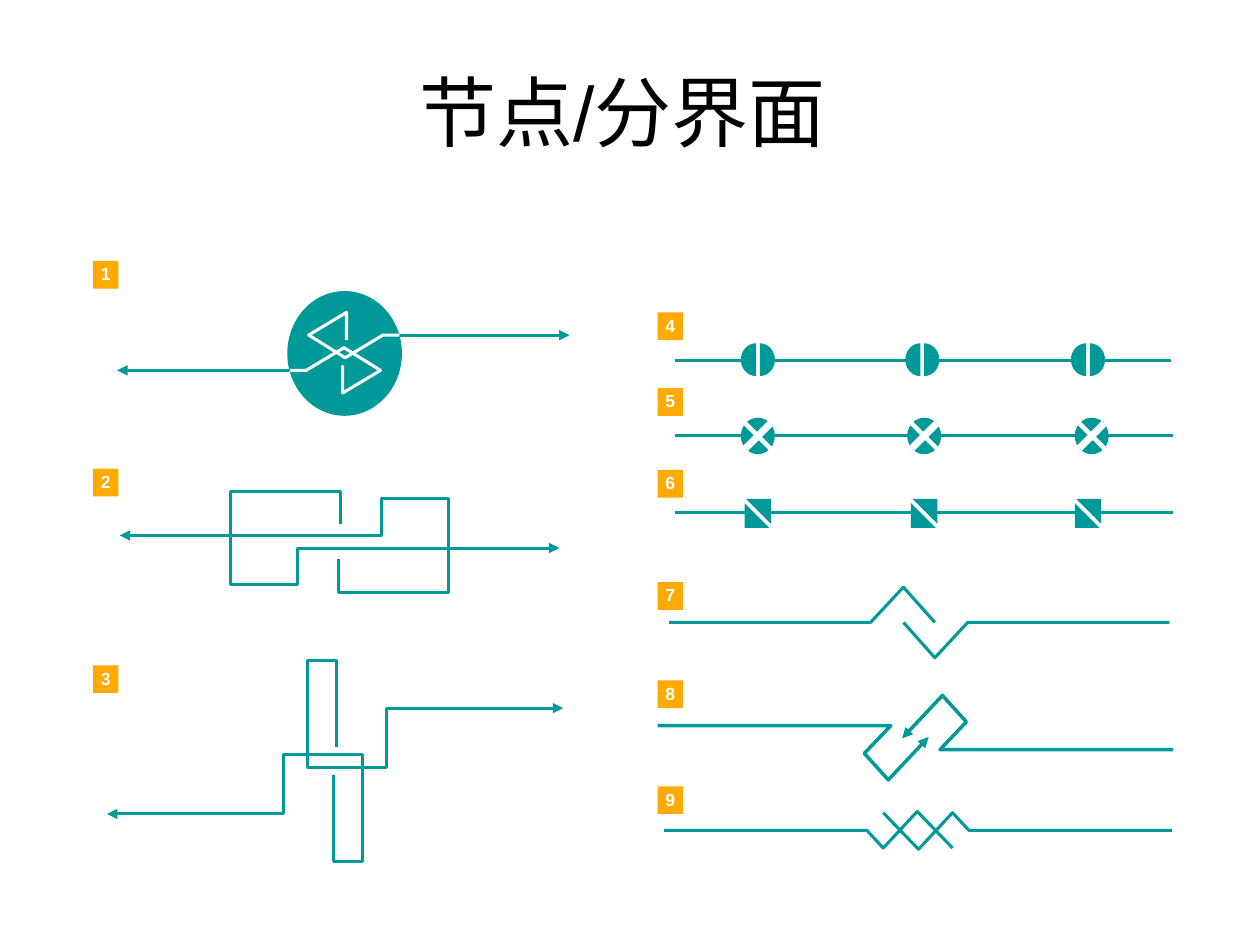
import math

from lxml import etree
from pptx import Presentation
from pptx.dml.color import RGBColor
from pptx.enum import shapes, text
from pptx.oxml.ns import qn
from pptx.util import Inches, Pt

TEAL = RGBColor(0x00, 0x99, 0x99)
ORANGE = RGBColor(0xFF, 0xAA, 0x00)
WHITE = RGBColor(0xFF, 0xFF, 0xFF)
BLACK = RGBColor(0x00, 0x00, 0x00)
FONT = "Arial"

# Number: left and top of its badge
BADGES = {
    1: (0.74, 2.07), 2: (0.74, 3.72), 3: (0.74, 5.28),
    4: (5.22, 2.48), 5: (5.22, 3.08), 6: (5.22, 3.73),
    7: (5.22, 4.62), 8: (5.22, 5.4), 9: (5.22, 6.24),
}

# One strand of each knot; its mate is the same strand turned by half a circle
LOOP = [(2.3, 2.94), (2.43, 2.94), (2.73, 2.76), (3.02, 2.94), (2.72, 3.12), (2.72, 2.9)]
WIDE_HOOK = [(0.95, 4.25), (3.03, 4.25), (3.03, 3.96), (3.56, 3.96),
             (3.56, 4.7), (2.69, 4.7), (2.69, 4.44)]
TALL_HOOK = [(0.85, 6.46), (2.25, 6.46), (2.25, 5.99), (2.88, 5.99),
             (2.88, 6.84), (2.65, 6.84), (2.65, 6.15)]
PEAK = [(5.31, 4.94), (6.91, 4.94), (7.17, 4.66), (7.42, 4.94)]
TURNBACK = [(5.22, 5.76), (7.07, 5.76), (6.86, 5.98), (7.05, 6.19), (7.37, 5.85)]
ZIGZAG = [(5.27, 6.59), (6.88, 6.59), (7.01, 6.73), (7.28, 6.44), (7.56, 6.73)]


def style_line(item, color, width, arrow_end=None):
    item.line.color.rgb = color
    item.line.width = Pt(width)
    outline = item.line._get_or_add_ln()
    etree.SubElement(outline, qn("a:round"))
    if arrow_end:
        etree.SubElement(outline, qn("a:" + arrow_end)).set("type", "triangle")


def add_line(slide, start, end, arrow_end=None):
    ends = [Inches(value) for value in (*start, *end)]
    line = slide.shapes.add_connector(shapes.MSO_CONNECTOR.STRAIGHT, *ends)
    style_line(line, TEAL, 1.75, arrow_end)
    etree.SubElement(line._element.spPr, qn("a:effectLst"))


def add_outline(slide, points, close):
    corners = [(Inches(x), Inches(y)) for x, y in points]
    builder = slide.shapes.build_freeform(*corners[0])
    builder.add_line_segments(corners[1:], close=close)
    outline = builder.convert_to_shape()
    outline.shadow.inherit = False
    return outline


def add_knot(slide, strand, center, color=TEAL, width=1.75, arrow_end=None):
    """Draw a strand and its mate, turned by 180 degrees about the center."""
    mate = [(2 * center[0] - x, 2 * center[1] - y) for x, y in strand]
    for points in (strand, mate):
        path = add_outline(slide, points, close=False)
        path.fill.background()
        style_line(path, color, width, arrow_end)


def add_filled(slide, kind, center, size, color, rotation=0):
    left, top = (middle - length / 2 for middle, length in zip(center, size))
    figure = slide.shapes.add_shape(
        kind, Inches(left), Inches(top), Inches(size[0]), Inches(size[1]))
    figure.shadow.inherit = False
    figure.fill.solid()
    figure.fill.fore_color.rgb = color
    figure.line.fill.background()
    figure.rotation = rotation
    return figure


def add_split_disc(slide, x, y):
    """Two half discs with a gap, each with a piece of line outwards."""
    angles = [math.pi * (step / 24 - 0.5) for step in range(25)]
    for side in (1, -1):
        add_line(slide, (x + side * 0.055, y), (x + side * 0.655, y))
        arc = [(x + side * (0.015 + 0.12 * math.cos(angle)),
                y - 0.005 + 0.13 * math.sin(angle)) for angle in angles]
        half = add_outline(slide, arc, close=True)
        half.fill.solid()
        half.fill.fore_color.rgb = TEAL
        half.line.fill.background()


def add_crossed_disc(slide, x, y):
    add_filled(slide, shapes.MSO_SHAPE.OVAL, (x, y), (0.27, 0.29), TEAL)
    cross = add_filled(slide, shapes.MSO_SHAPE.CROSS, (x, y), (0.3, 0.28), WHITE, 45)
    cross.adjustments[0] = 0.435


def add_slashed_square(slide, x, y):
    add_filled(slide, shapes.MSO_SHAPE.RECTANGLE, (x, y), (0.21, 0.23), TEAL)
    add_filled(slide, shapes.MSO_SHAPE.RECTANGLE, (x, y), (0.03, 0.33), WHITE, 315)


def format_text(frame, words, size, color, bold=False):
    frame.text = words
    frame.vertical_anchor = text.MSO_ANCHOR.MIDDLE
    paragraph = frame.paragraphs[0]
    paragraph.alignment = text.PP_ALIGN.CENTER
    font = paragraph.runs[0].font
    font.name, font.size, font.bold = FONT, Pt(size), bold
    font.color.rgb = color


def add_badge(slide, number, left, top):
    badge = add_filled(slide, shapes.MSO_SHAPE.RECTANGLE,
                       (left + 0.1, top + 0.11), (0.2, 0.22), ORANGE)
    frame = badge.text_frame
    frame.margin_left = frame.margin_right = frame.margin_top = frame.margin_bottom = 0
    frame.word_wrap = False
    format_text(frame, str(number), 10, WHITE, bold=True)
    frame.paragraphs[0].line_spacing = 0.93


def add_title(slide, words):
    title = slide.shapes.add_textbox(Inches(0.63), Inches(0.5), Inches(8.62), Inches(0.75))
    title.text_frame.word_wrap = True
    format_text(title.text_frame, words, 44, BLACK)


def main():
    deck = Presentation()
    deck.slide_width, deck.slide_height = Inches(10), Inches(7.5)
    slide = deck.slides.add_slide(deck.slide_layouts[6])

    # Left column: disc with a white knot, then two open knots
    add_line(slide, (2.32, 2.94), (0.93, 2.94), "tailEnd")
    add_line(slide, (3.17, 2.66), (4.52, 2.66), "tailEnd")
    add_filled(slide, shapes.MSO_SHAPE.OVAL, (2.735, 2.805), (0.91, 0.99), TEAL)
    add_knot(slide, LOOP, (2.735, 2.8), WHITE)
    add_knot(slide, WIDE_HOOK, (2.695, 4.3), arrow_end="headEnd")
    add_knot(slide, TALL_HOOK, (2.66, 6.04), arrow_end="headEnd")

    # Right column: lines with three nodes each
    for x in (6.015, 7.32, 8.635):
        add_split_disc(slide, x, 2.86)
    add_line(slide, (5.36, 3.46), (9.31, 3.46))
    for x in (6.015, 7.335, 8.665):
        add_crossed_disc(slide, x, 3.46)
    add_line(slide, (5.36, 4.07), (9.31, 4.07))
    for x in (6.015, 7.335, 8.635):
        add_slashed_square(slide, x, 4.075)

    # Right column: interlocking lines
    add_knot(slide, PEAK, (7.295, 4.94))
    add_knot(slide, TURNBACK, (7.265, 5.855), width=2, arrow_end="tailEnd")
    add_knot(slide, ZIGZAG, (7.285, 6.59))

    # Numbers and title
    for number, (left, top) in BADGES.items():
        add_badge(slide, number, left, top)
    add_title(slide, "节点/分界面")

    deck.save("out.pptx")


if __name__ == "__main__":
    main()
